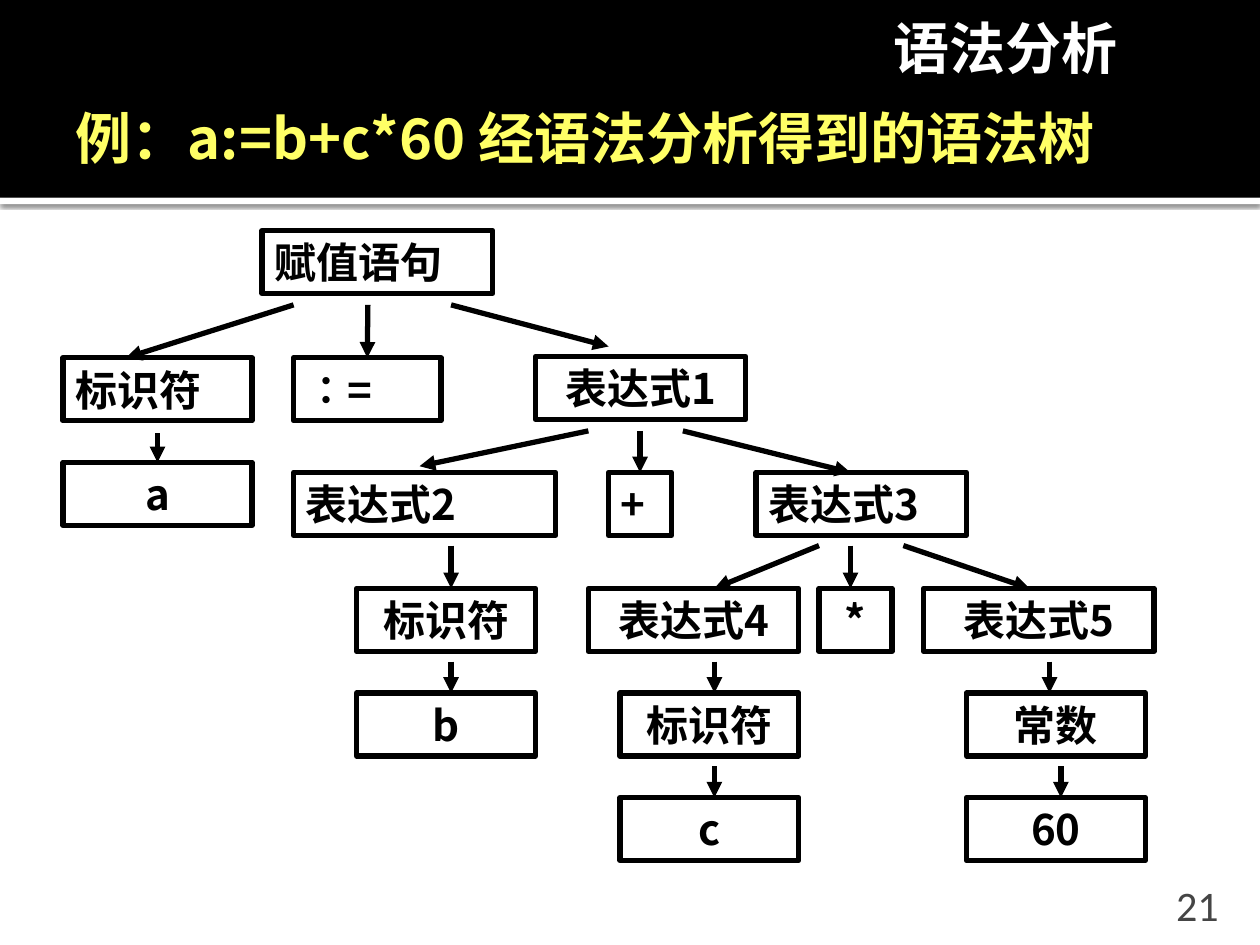
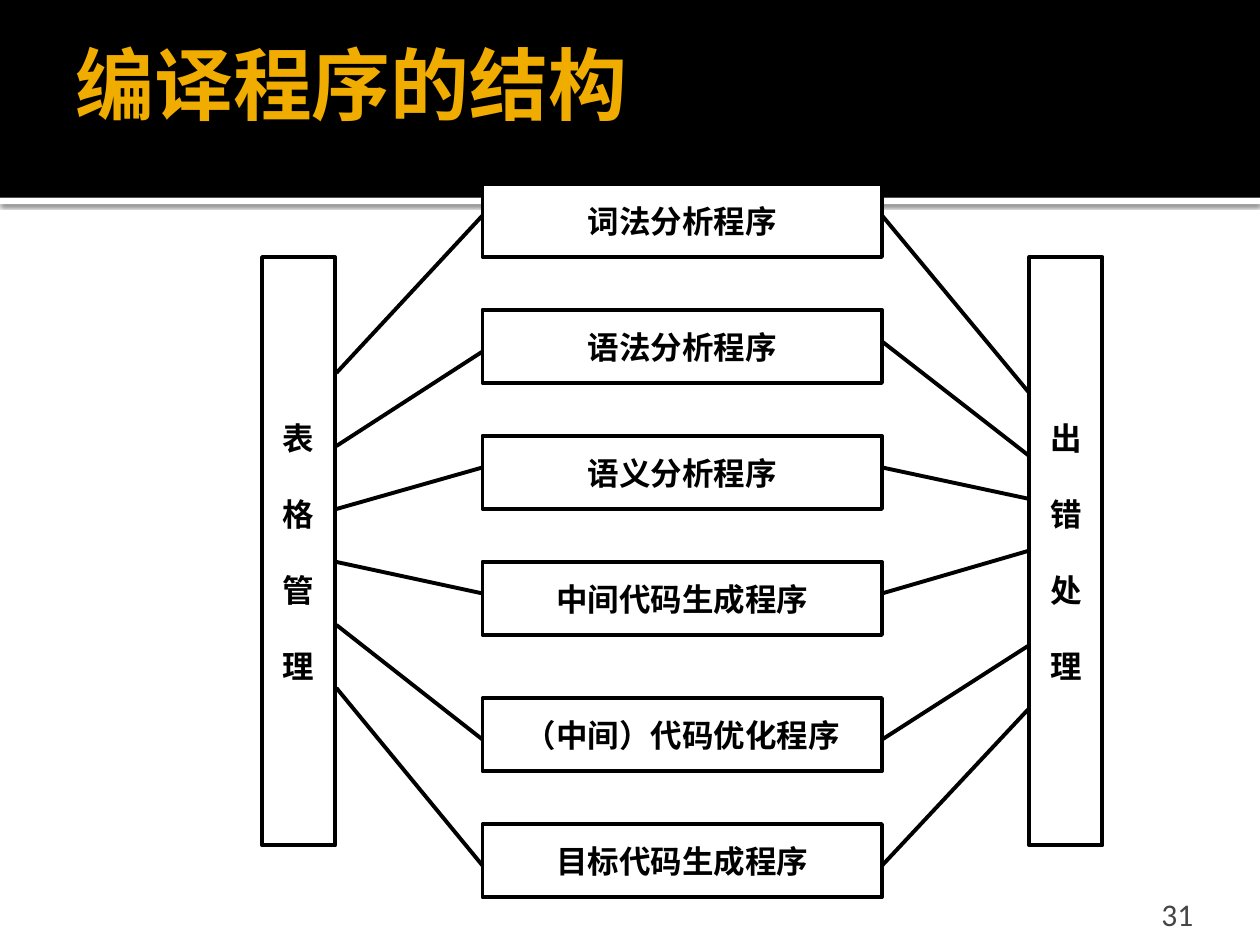
from lxml import etree
from pptx import Presentation
from pptx.dml.color import RGBColor
from pptx.enum.shapes import MSO_CONNECTOR, MSO_SHAPE
from pptx.enum.text import MSO_ANCHOR, MSO_AUTO_SIZE, PP_ALIGN
from pptx.oxml import parse_xml
from pptx.oxml.ns import nsdecls, qn
from pptx.util import Inches, Pt

LEFT, CENTER, RIGHT = PP_ALIGN.LEFT, PP_ALIGN.CENTER, PP_ALIGN.RIGHT
TOP, MIDDLE, BOTTOM = MSO_ANCHOR.TOP, MSO_ANCHOR.MIDDLE, MSO_ANCHOR.BOTTOM
RECTANGLE, STRAIGHT = MSO_SHAPE.RECTANGLE, MSO_CONNECTOR.STRAIGHT
NO_AUTOFIT = MSO_AUTO_SIZE.NONE

COLORS = {"black": "000000", "white": "FFFFFF", "yellow": "FFFF66",
          "gold": "F0AD00", "gray": "454545"}
CJK, LATIN, SERIF = "Noto Sans CJK SC", "Calibri", "Times New Roman"
INSETS = (0.1, 0.05, 0.1, 0.05)
TITLE_INSETS = (0.1, 0.05, 0.05, 0.05)
TOP_SIDE = 0

# Syntax tree nodes: key -> (text, left, top, width, alignment)
TREE_NODES = {
    "assignment": ("赋值语句", 2.08, 1.83, 1.83, LEFT),
    "target": ("标识符", 0.5, 2.84, 1.5, LEFT),
    "becomes": ("∶=", 2.33, 2.84, 1.17, LEFT),
    "expr1": ("表达式1", 4.25, 2.83, 1.67, CENTER),
    "a": ("a", 0.5, 3.67, 1.5, CENTER),
    "expr2": ("表达式2", 2.33, 3.75, 2.08, LEFT),
    "plus": ("+", 4.83, 3.75, 0.5, LEFT),
    "expr3": ("表达式3", 6, 3.75, 1.67, LEFT),
    "b_identifier": ("标识符", 2.83, 4.67, 1.42, CENTER),
    "expr4": ("表达式4", 4.67, 4.67, 1.67, CENTER),
    "times": ("*", 6.5, 4.67, 0.58, CENTER),
    "expr5": ("表达式5", 7.33, 4.67, 1.83, CENTER),
    "b": ("b", 2.83, 5.5, 1.42, CENTER),
    "c_identifier": ("标识符", 4.92, 5.5, 1.42, CENTER),
    "constant": ("常数", 7.67, 5.5, 1.42, CENTER),
    "c": ("c", 4.92, 6.33, 1.42, CENTER),
    "60": ("60", 7.67, 6.33, 1.42, CENTER),
}
# Arrows: start, end, key of the node joined at the middle of its top
TREE_ARROWS = [
    ((2.33, 2.42), (1, 2.84), None),
    ((2.92, 2.42), (2.92, 2.84), "becomes"),
    ((3.58, 2.42), (4.83, 2.75), None),
    ((1.25, 3.44), (1.25, 3.67), "a"),
    ((4.67, 3.42), (3.33, 3.7), None),
    ((5.08, 3.42), (5.08, 3.75), "plus"),
    ((5.42, 3.42), (6.75, 3.75), None),
    ((3.58, 4.33), (3.58, 4.67), None),
    ((6.5, 4.33), (5.67, 4.67), None),
    ((6.75, 4.33), (6.75, 4.67), None),
    ((7.17, 4.33), (8.17, 4.67), None),
    ((3.58, 5.25), (3.58, 5.5), None),
    ((5.67, 5.25), (5.67, 5.5), None),
    ((8.33, 5.25), (8.33, 5.5), None),
    ((5.67, 6.08), (5.67, 6.33), None),
    ((8.42, 6.08), (8.42, 6.33), None),
]
# Compiler phases: text, top, then line heights at the
# table bar, phase left side, phase right side, error bar
PHASES = [
    ("词法分析程序", 1.46, 2.96, 1.71, 1.71, 3.12),
    ("语法分析程序", 2.46, 3.54, 2.79, 2.71, 3.62),
    ("语义分析程序", 3.46, 4.04, 3.71, 3.71, 3.96),
    ("中间代码生成程序", 4.46, 4.46, 4.71, 4.71, 4.37),
    ("（中间）代码优化程序", 5.54, 4.96, 5.87, 5.87, 5.12),
    ("目标代码生成程序", 6.54, 5.46, 6.87, 6.87, 5.62),
]


def rgb(color):
    return RGBColor.from_string(COLORS[color])


def write(frame, text, size=24, font=CJK, color="black", bold=True, align=LEFT,
          anchor=TOP, insets=INSETS, line_height=None, gap=0):
    """Fill a text frame; each line of the text becomes a paragraph."""
    frame.text = text
    frame.auto_size = NO_AUTOFIT
    frame.word_wrap = True
    frame.vertical_anchor = anchor
    (frame.margin_left, frame.margin_top,
     frame.margin_right, frame.margin_bottom) = map(Inches, insets)
    for index, paragraph in enumerate(frame.paragraphs):
        paragraph.alignment = align
        paragraph.space_before = Pt(gap if index else 0)
        if line_height:
            paragraph.line_spacing = Pt(line_height)
        for run in paragraph.runs:
            run.font.size, run.font.bold = Pt(size), bold
            run.font.name = font
            run.font.color.rgb = rgb(color)
            east_asian = etree.SubElement(run._r.get_or_add_rPr(), qn("a:ea"))
            east_asian.set("typeface", CJK)


def add_box(slide, left, top, width, height, fill=None, border=None):
    box = slide.shapes.add_shape(RECTANGLE, Inches(left), Inches(top),
                                 Inches(width), Inches(height))
    box.shadow.inherit = False
    if fill:
        box.fill.solid()
        box.fill.fore_color.rgb = rgb(fill)
    else:
        box.fill.background()
    if border:
        box.line.color.rgb = rgb("black")
        box.line.width = Pt(border)
    else:
        box.line.fill.background()
    return box


def add_line(slide, start, end, width, arrow=False):
    line = slide.shapes.add_connector(STRAIGHT, *map(Inches, start + end))
    line.line.color.rgb = rgb("black")
    line.line.width = Pt(width)
    if arrow:
        head = etree.SubElement(line.line._get_or_add_ln(), qn("a:tailEnd"))
        head.set("type", "triangle")
    etree.SubElement(line.element.spPr, qn("a:effectLst"))
    return line


def add_label(slide, text, left, top, width, height, **style):
    label = slide.shapes.add_textbox(Inches(left), Inches(top),
                                     Inches(width), Inches(height))
    write(label.text_frame, text, **style)


def set_title(slide, text, left, top, width, height, **style):
    title = slide.shapes.title
    title.left, title.top = Inches(left), Inches(top)
    title.width, title.height = Inches(width), Inches(height)
    write(title.text_frame, text, anchor=MIDDLE, insets=TITLE_INSETS, **style)


def add_page_number(slide, number, left, top, size):
    add_label(slide, number, left, top, 0.8, 0.3, size=size, font=LATIN,
              color="gray", bold=False, align=RIGHT, anchor=BOTTOM,
              insets=(0.1, 0.05, 0.1, 0))


def put_band_on_layout(slide):
    """Move the black header and its shadowed edge to the shared layout."""
    edge = add_box(slide, 0, 1.57, 10, 0.05, fill="white")
    header = add_box(slide, 0, 0, 10, 1.57, fill="black")
    edge.element.spPr.find(qn("a:effectLst")).append(parse_xml(
        f'<a:outerShdw {nsdecls("a")} blurRad="{Pt(2.5)}" dist="{Pt(0.8)}" '
        f'dir="5400000" rotWithShape="0"><a:srgbClr val="{COLORS["black"]}">'
        '<a:alpha val="60000"/></a:srgbClr></a:outerShdw>'))
    tree = slide.slide_layout.shapes.element
    for index, part in enumerate((edge, header)):
        part.element.nvSpPr.cNvPr.set("id", str(100 + index))
        tree.insert(2 + index, part.element)


def build_syntax_tree(slide):
    set_title(slide, "例：a:=b+c*60 经语法分析得到的语法树", 0.5, 0.67, 8.5, 0.83,
              size=32, color="yellow")
    add_label(slide, "语法分析", 6, 0, 3.92, 0.75, size=32, color="white",
              align=CENTER, anchor=MIDDLE, insets=TITLE_INSETS)
    add_page_number(slide, "21", 8.97, 7.08, 24)

    nodes = {}
    for key, (text, left, top, width, align) in TREE_NODES.items():
        nodes[key] = add_box(slide, left, top, width, 0.5, border=3)
        write(nodes[key].text_frame, text, align=align)
    for start, end, joined in TREE_ARROWS:
        arrow = add_line(slide, start, end, 3, arrow=True)
        if joined:
            arrow.end_connect(nodes[joined], TOP_SIDE)


def build_compiler_structure(slide):
    set_title(slide, "编译程序的结构", 0.5, 0.17, 9, 0.98,
              size=45, font=LATIN, color="gold")
    add_page_number(slide, "31", 8.77, 7.1, 18)
    style = {"size": 18, "font": SERIF, "align": CENTER, "anchor": MIDDLE}

    # Side bars, one character a line
    for text, left in (("表格管理", 2.08), ("出错处理", 8.17)):
        bar = add_box(slide, left, 2.04, 0.58, 4.67, "white", 2.25)
        write(bar.text_frame, "\n".join(text), line_height=22, gap=21.4, **style)

    # Phases with their lines to both bars
    for text, top, table_y, left_y, right_y, error_y in PHASES:
        phase = add_box(slide, 3.83, top, 3.17, 0.58, "white", 2.25)
        write(phase.text_frame, text, **style)
        add_line(slide, (3.83, left_y), (2.67, table_y), 2.25)
        add_line(slide, (8.17, error_y), (7, right_y), 2.25)


def main():
    deck = Presentation()
    deck.slide_width, deck.slide_height = Inches(10), Inches(7.5)
    title_only = deck.slide_layouts[5]
    tree_slide = deck.slides.add_slide(title_only)
    put_band_on_layout(tree_slide)
    build_syntax_tree(tree_slide)
    build_compiler_structure(deck.slides.add_slide(title_only))
    deck.save("out.pptx")


if __name__ == "__main__":
    main()
